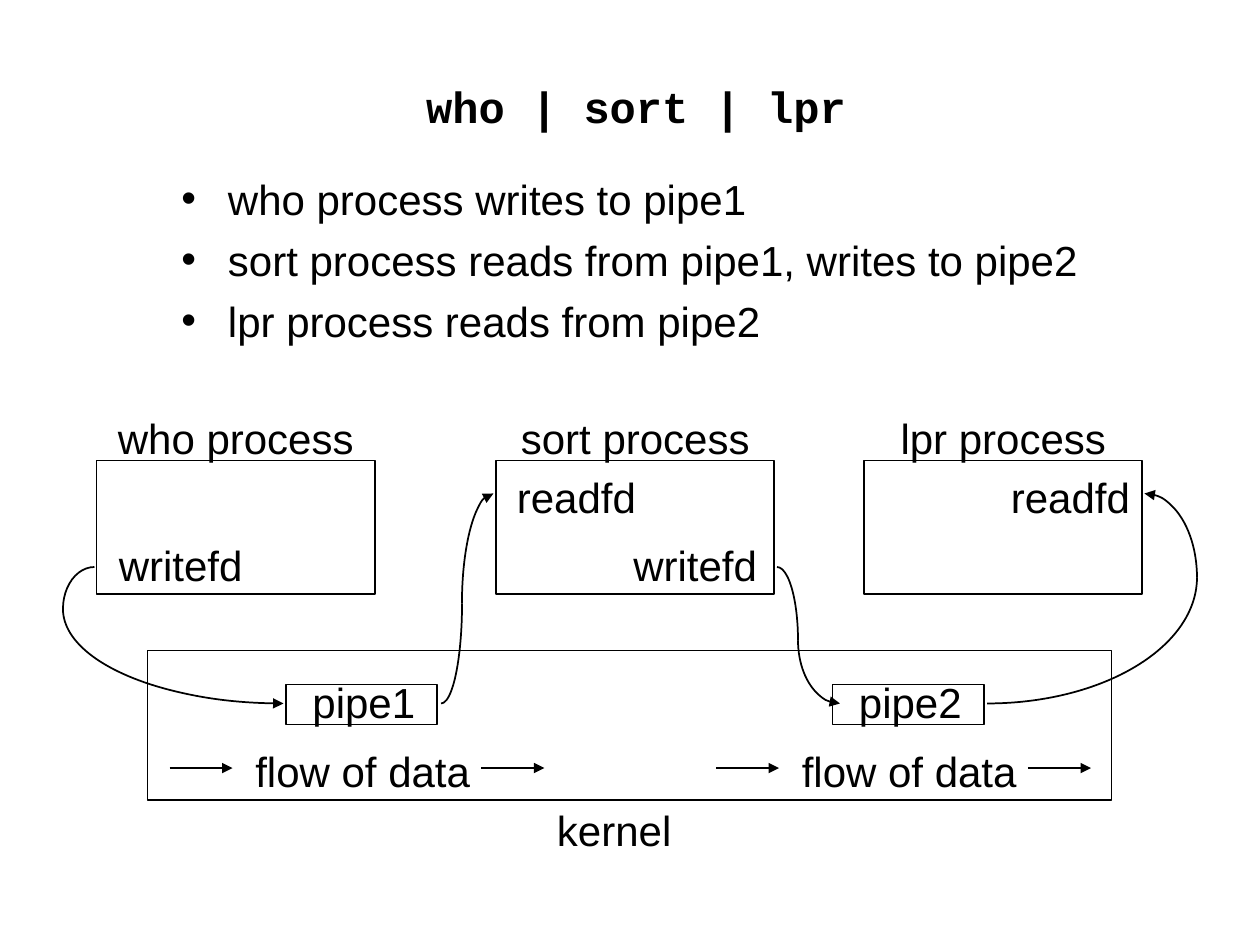
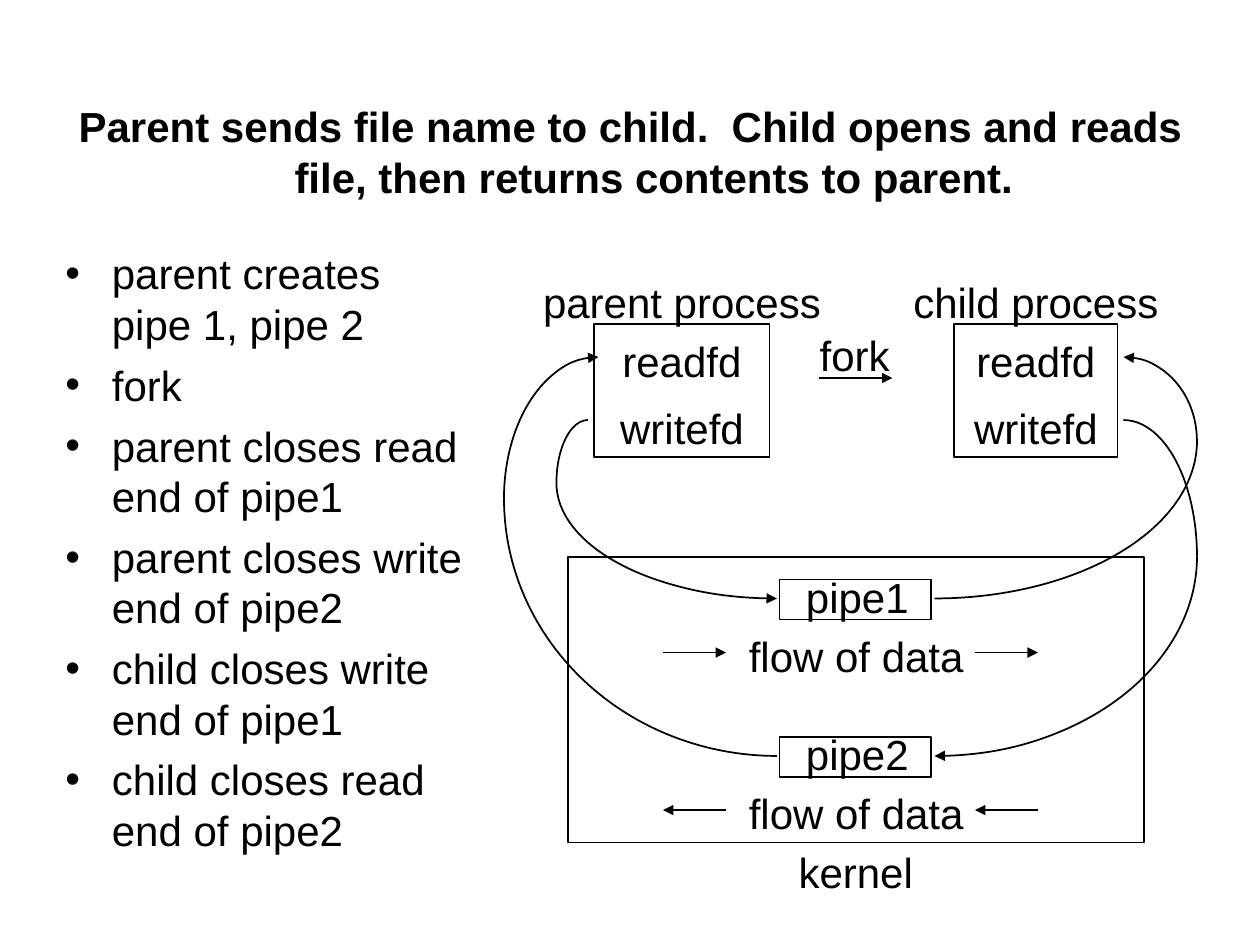
import pptx
import pptx.util
import pptx.dml.color
import pptx.enum.shapes
import pptx.enum.text
import pptx.oxml
import pptx.oxml.ns

COLUMNS, ROWS = 120, 90
CELL = pptx.util.Inches(10) / COLUMNS
INK = "000000"
BODY_FONT = {"name": "Arial", "size": pptx.util.Pt(24), "bold": False}
HEADING_FONT = {**BODY_FONT, "bold": True}
CODE_FONT = {"name": "Courier New", "size": pptx.util.Pt(25), "bold": True}
LABEL_WIDTHS = {
    "who process": 25.4, "sort process": 24.8, "lpr process": 22.6,
    "parent process": 29.5, "child process": 26.4,
    "readfd": 14.4, "writefd": 14.8, "pipe1": 12.8, "pipe2": 12.8,
    "flow of data": 23.5, "kernel": 13.9, "fork": 9.7,
}
QUADRANTS = {(True, True): 0, (False, True): 1, (False, False): 2, (True, False): 3}
PIPE_WIDTH, PIPE_HEIGHT = 14.4, 3.8
PROCESS_HEIGHT = 12.7


def cells(*counts):
    return [round(count * CELL) for count in counts]


def apply(target, values):
    for key, value in values.items():
        setattr(target, key, value)


def color(target, hex_string):
    target.rgb = pptx.dml.color.RGBColor.from_string(hex_string)


def style_font(font, values):
    apply(font, values)
    color(font.color, INK)


def style_line(line):
    line.width = pptx.util.Pt(1)
    color(line.color, INK)


def add_arrowhead(line, end):
    head = pptx.oxml.parse_xml(
        f'<a:{end} {pptx.oxml.ns.nsdecls("a")} type="triangle"/>')
    line._get_or_add_ln().append(head)


def fill_placeholder(placeholder, area, lines, font, alignment):
    left, top, width, height = cells(*area)
    apply(placeholder, {"left": left, "top": top, "width": width, "height": height})
    frame = placeholder.text_frame
    apply(frame, {
        "text": "\n".join(lines),
        "word_wrap": True,
        "auto_size": pptx.enum.text.MSO_AUTO_SIZE.NONE,
        "vertical_anchor": pptx.enum.text.MSO_ANCHOR.TOP,
    })
    for paragraph in frame.paragraphs:
        apply(paragraph, {"alignment": alignment, "space_before": pptx.util.Pt(6)})
        properties = paragraph._p.get_or_add_pPr()
        properties.set("marL", str(pptx.util.Inches(0.38)))
        properties.set("indent", str(pptx.util.Inches(-0.37)))
        style_font(paragraph.runs[0].font, font)


def add_page(deck, heading, heading_area, heading_font, points, points_area):
    slide = deck.slides.add_slide(deck.slide_layouts[1])
    align = pptx.enum.text.PP_ALIGN
    fill_placeholder(slide.shapes.title, heading_area, [heading], heading_font, align.CENTER)
    fill_placeholder(slide.placeholders[1], points_area, points, BODY_FONT, align.LEFT)
    return slide


def add_label(slide, center, top, text):
    width = LABEL_WIDTHS[text]
    label = slide.shapes.add_textbox(*cells(center - width / 2, top, width, 6))
    apply(label.text_frame, {"text": text, "word_wrap": False})
    paragraph = label.text_frame.paragraphs[0]
    paragraph.alignment = pptx.enum.text.PP_ALIGN.CENTER
    style_font(paragraph.runs[0].font, BODY_FONT)


def add_outline(slide, kind, area):
    outline = slide.shapes.add_shape(kind, *cells(*area))
    outline.shadow.inherit = False
    outline.fill.background()
    style_line(outline.line)
    return outline


def add_box(slide, *area):
    add_outline(slide, pptx.enum.shapes.MSO_SHAPE.RECTANGLE, area)


def add_arrow(slide, start, end, row):
    arrow = slide.shapes.add_connector(
        pptx.enum.shapes.MSO_CONNECTOR.STRAIGHT, *cells(start, row, end, row))
    style_line(arrow.line)
    add_arrowhead(arrow.line, "tailEnd")
    arrow._element.spPr.append(
        pptx.oxml.parse_xml(f'<a:effectLst {pptx.oxml.ns.nsdecls("a")}/>'))


def add_bend(slide, turn, tip, has_arrow):
    center_x, center_y = tip[0], turn[1]
    radius_x, radius_y = abs(turn[0] - center_x), abs(tip[1] - center_y)
    bend = add_outline(slide, pptx.enum.shapes.MSO_SHAPE.ARC, (
        center_x - radius_x, center_y - radius_y, 2 * radius_x, 2 * radius_y))
    quadrant = QUADRANTS[turn[0] > center_x, tip[1] > center_y]
    for index in range(2):
        degrees = (quadrant + index) % 4 * 90
        bend.adjustments[index] = degrees * 0.6
    if has_arrow:
        add_arrowhead(bend.line, "headEnd" if quadrant % 2 else "tailEnd")


def add_link(slide, origin, turn, target):
    add_bend(slide, turn, origin, False)
    add_bend(slide, turn, target, True)


def add_process(slide, left, top, width, name, ports):
    add_box(slide, left, top, width, PROCESS_HEIGHT)
    add_label(slide, left + width / 2, top - 5.15, name)
    for port, center in ports.items():
        add_label(slide, center, top + (0.5 if port == "readfd" else 6.9), port)


def add_pipe(slide, left, top, name, flow_drop, leftward=False):
    center = left + PIPE_WIDTH / 2
    add_box(slide, left, top, PIPE_WIDTH, PIPE_HEIGHT)
    add_label(slide, center + 0.2, top - 1.4, name)
    add_label(slide, center + 0.1, top + flow_drop, "flow of data")
    for start in (left - 11.1, left + 18.6):
        ends = (start, start + 6)
        add_arrow(slide, *(reversed(ends) if leftward else ends), top + flow_drop + 2.7)


def build_pipeline(deck):
    slide = add_page(
        deck, "who | sort | lpr", (16, 7, 89, 7), CODE_FONT,
        ["who process writes to pipe1",
         "sort process reads from pipe1, writes to pipe2",
         "lpr process reads from pipe2"],
        (15.95, 15.9, 89, 24))
    add_box(slide, 14.05, 61.95, 91.8, 14.25)
    add_label(slide, 58.5, 76.05, "kernel")
    for left, name in ((27.25, "pipe1"), (79.3, "pipe2")):
        add_pipe(slide, left, 65.2, name, 5.25)
    for left, name, ports in (
            (9.2, "who process", {"writefd": 17.2}),
            (47.25, "sort process", {"readfd": 54.9, "writefd": 66.2}),
            (82.3, "lpr process", {"readfd": 101.95})):
        add_process(slide, left, 43.85, 26.5, name, ports)
    for route in (
            ((9, 54), (6, 58), (27, 67)),
            ((42, 67), (44, 57.5), (47, 47)),
            ((74, 54), (76, 61), (80, 67)),
            ((94, 67), (114, 55), (109, 47))):
        add_link(slide, *route)


def build_two_way(deck):
    slide = add_page(
        deck,
        "Parent sends file name to child.  Child opens and reads file, "
        "then returns contents to parent.",
        (5, 9, 110, 11), HEADING_FONT,
        ["parent creates pipe 1, pipe 2", "fork",
         "parent closes read end of pipe1", "parent closes write end of pipe2",
         "child closes write end of pipe1", "child closes read end of pipe2"],
        (4.9, 23, 41, 61))
    add_box(slide, 54.1, 53.05, 54.85, 27.2)
    add_label(slide, 81.5, 80.05, "kernel")
    add_pipe(slide, 74.25, 55.2, "pipe1", 4.25)
    add_pipe(slide, 74.25, 70.2, "pipe2", 4.25, leftward=True)
    for left, width, name in (
            (56.6, 16.7, "parent process"), (90.85, 15.6, "child process")):
        center = left + width / 2
        add_process(slide, left, 30.85, width, name,
                    {"readfd": center, "writefd": center})
    add_label(slide, 81.4, 30.8, "fork")
    add_arrow(slide, 78, 85, 36)
    for route in (
            ((56, 40), (53, 46), (74, 57)),
            ((89, 57), (114, 42), (107, 34)),
            ((74, 72), (48, 47.5), (57, 34)),
            ((107, 40), (114, 53), (89, 72))):
        add_link(slide, *route)


def main():
    deck = pptx.Presentation()
    apply(deck, {"slide_width": round(COLUMNS * CELL), "slide_height": round(ROWS * CELL)})
    build_pipeline(deck)
    build_two_way(deck)
    deck.save("out.pptx")


main()
